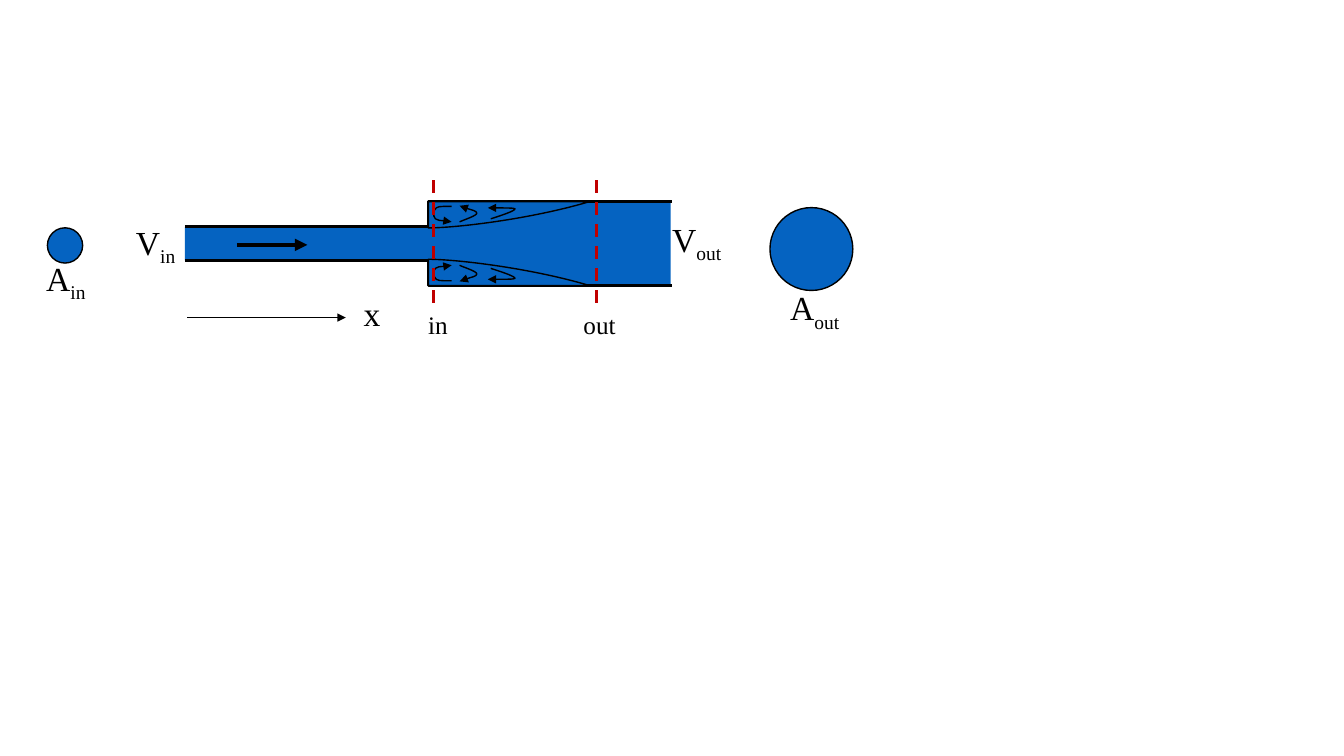
from dataclasses import dataclass
from typing import Any

import lxml.etree
import pptx
import pptx.dml.color
import pptx.enum.dml
import pptx.enum.shapes
import pptx.enum.text
import pptx.oxml.ns
import pptx.util

Pt = pptx.util.Pt
qn = pptx.oxml.ns.qn
BLACK = pptx.dml.color.RGBColor(0x00, 0x00, 0x00)
WATER = pptx.dml.color.RGBColor(0x05, 0x63, 0xC1)
SECTION_RED = pptx.dml.color.RGBColor(0xC0, 0x00, 0x00)
FONT = "Times New Roman"

AXIS = 174
NARROW, WIDE = 12, 30
INLET, STEP, OUTLET = 132, 306, 479
SIDES = (1, -1)

Points = list[tuple[float, float]]


@dataclass
class Outline:
    points: Points
    weight: float = 1
    filled: bool = True
    curved: bool = False
    closed: bool = False
    arrow: bool = False


@dataclass
class Line:
    start: tuple[float, float]
    end: tuple[float, float]
    weight: float
    color: pptx.dml.color.RGBColor = BLACK
    arrow: bool = False
    dashed: bool = False


@dataclass
class Circle:
    left: float
    top: float
    diameter: float


@dataclass
class Label:
    text: str
    left: float
    top: float
    width: float
    height: float = 36
    subscript: str = ""
    size: float = 24
    wrap: bool = False


WALL = Outline([(INLET, NARROW), (STEP, NARROW), (STEP, WIDE), (480, WIDE)], 2.25, filled=False)
WATER_EDGE = [(INLET, NARROW), (STEP, NARROW), (STEP, WIDE), (OUTLET, WIDE)]
BODY = Outline(WATER_EDGE + [(x, -y) for x, y in reversed(WATER_EDGE)], weight=0, closed=True)
RECIRCULATION = [
    Outline([(STEP, 11.2), (324.7, 11.2), (377.3, 17), (421.2, WIDE),
             (377.3, WIDE), (325.4, WIDE), (STEP, WIDE)], curved=True, closed=True),
    Outline([(350.6, 17.7), (359.3, 20.5), (367.9, 23.4), (367.9, 24.8),
             (367.9, 25.5), (357.8, 25.5), (348.5, 25.5)], curved=True, arrow=True),
    Outline([(328.3, 15.5), (330.5, 16.7), (340.6, 19.8), (340.6, 21.7),
             (340.6, 23.4), (330.5, 25.7), (328.3, 27)], curved=True, arrow=True),
    Outline([(322.6, 26.6), (320.4, 26.4), (313.2, 27), (311.8, 25.6),
             (309.6, 24.2), (308.9, 19.8), (311, 17.7),
             (312.5, 16.3), (320.4, 16.3), (322.6, 15.5)], curved=True, arrow=True),
]
FLOW_ARROW = Line((169.2, 174.9), (219.6, 174.9), 3, arrow=True)
X_AXIS = Line((133.9, 226.8), (247, 226.8), 1, arrow=True)
SECTIONS = [Line((x, 128.9), (x, 221), 2.25, SECTION_RED, dashed=True) for x in (309.6, 426.2)]
AREAS = [Circle(33.84, 162.72, 25.2), Circle(550, 148.3, 59.2)]
LABELS = [
    Label("in", 298.8, 217.4, 28.8, 28.8, size=18),
    Label("out", 409.7, 217.4, 44.6, 28.8, size=18, wrap=True),
    Label("A", 25.9, 180.7, 44.6, subscript="in"),
    Label("A", 557.3, 201.6, 52.6, subscript="out"),
    Label("V", 90, 154.8, 43.2, subscript="in"),
    Label("V", 473, 152.6, 49.7, subscript="out"),
    Label("x", 252.7, 205.9, 26.6),
]


def apply(target: Any, values: dict[str, Any]) -> None:
    for name, value in values.items():
        setattr(target, name, value)


def paint(shape: Any, filled: bool, weight: float) -> None:
    shape.shadow.inherit = False
    if filled:
        shape.fill.solid()
        shape.fill.fore_color.rgb = WATER
    else:
        shape.fill.background()
    if weight:
        shape.line.color.rgb = BLACK
        shape.line.width = Pt(weight)
    else:
        shape.line.fill.background()


def add_arrowhead(shape: Any) -> None:
    outline = shape._element.spPr.find(qn("a:ln"))
    lxml.etree.SubElement(outline, qn("a:tailEnd"), type="triangle")


def bend(shape: Any) -> None:
    segments = list(shape._element.iter(qn("a:lnTo")))
    for index in range(0, len(segments), 3):
        curve = lxml.etree.Element(qn("a:cubicBezTo"))
        segments[index].addprevious(curve)
        for segment in segments[index:index + 3]:
            curve.append(segment[0])
            segment.getparent().remove(segment)


def draw_outline(page: Any, outline: Outline, side: int = 1) -> None:
    corners = [(Pt(x), Pt(AXIS - side * y)) for x, y in outline.points]
    builder = page.shapes.build_freeform(*corners[0])
    builder.add_line_segments(corners[1:], close=outline.closed)
    shape = builder.convert_to_shape()
    if outline.curved:
        bend(shape)
    paint(shape, outline.filled, outline.weight)
    if outline.arrow:
        add_arrowhead(shape)


def draw_line(page: Any, line: Line) -> None:
    connector = page.shapes.add_connector(
        pptx.enum.shapes.MSO_CONNECTOR.STRAIGHT, *map(Pt, line.start + line.end))
    connector.line.color.rgb = line.color
    connector.line.width = Pt(line.weight)
    if line.dashed:
        connector.line.dash_style = pptx.enum.dml.MSO_LINE.DASH
    if line.arrow:
        add_arrowhead(connector)
    lxml.etree.SubElement(connector._element.spPr, qn("a:effectLst"))


def draw_circle(page: Any, circle: Circle) -> None:
    shape = page.shapes.add_shape(
        pptx.enum.shapes.MSO_SHAPE.OVAL,
        *map(Pt, (circle.left, circle.top, circle.diameter, circle.diameter)))
    paint(shape, filled=True, weight=1)


def draw_label(page: Any, label: Label) -> None:
    box = page.shapes.add_textbox(*map(Pt, (label.left, label.top, label.width, label.height)))
    apply(box.text_frame, {"word_wrap": label.wrap,
                           "auto_size": pptx.enum.text.MSO_AUTO_SIZE.SHAPE_TO_FIT_TEXT})
    para = box.text_frame.paragraphs[0]
    for text in filter(None, (label.text, label.subscript)):
        span = para.add_run()
        span.text = text
        apply(span.font, {"name": FONT, "size": Pt(label.size)})
        span.font.color.rgb = BLACK
    if label.subscript:
        span._r.get_or_add_rPr().set("baseline", "-25000")


def main() -> None:
    deck = pptx.Presentation()
    apply(deck, {"slide_width": Pt(960), "slide_height": Pt(540)})
    page = deck.slides.add_slide(deck.slide_layouts[6])
    draw_outline(page, BODY)
    draw_line(page, FLOW_ARROW)
    for side in SIDES:
        for outline in [WALL, *RECIRCULATION]:
            draw_outline(page, outline, side)
    for circle in AREAS:
        draw_circle(page, circle)
    for label in LABELS:
        draw_label(page, label)
    for line in [X_AXIS, *SECTIONS]:
        draw_line(page, line)
    deck.save("out.pptx")


if __name__ == "__main__":
    main()
